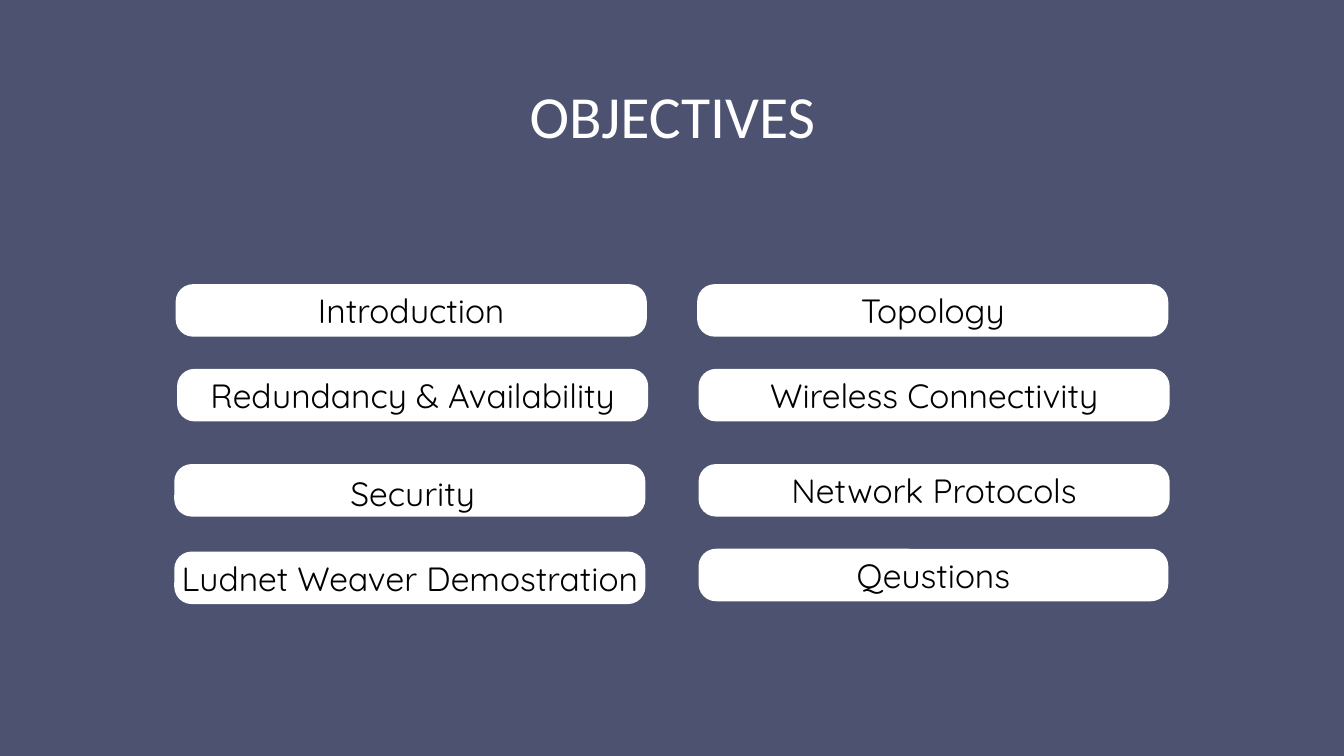
from pptx import Presentation
from pptx.dml.color import RGBColor
from pptx.enum.shapes import MSO_SHAPE
from pptx.enum.text import MSO_ANCHOR, PP_ALIGN
from pptx.util import Pt

PX = 9525
COLORS = {"background": "4C5270", "white": "FFFFFF", "black": "000000"}
BAR_W, BAR_H, TEXT_H = 673, 75, 67
RAISED, LOWERED = (0, -6), (4, -2)

OBJECTIVES = [
    ("Introduction", 251, 406, BAR_W, RAISED),
    ("Topology", 996, 406, BAR_W, RAISED),
    ("Redundancy & Availability", 253, 527, BAR_W, RAISED),
    ("Wireless Connectivity", 998, 527, BAR_W, RAISED),
    ("Security", 249, 663, BAR_W, LOWERED),
    ("Network Protocols", 998, 663, BAR_W, RAISED),
    ("Ludnet Weaver Demostration", 249, 788, BAR_W, RAISED),
    ("Qeustions", 998, 784, 671, RAISED),
]


def px(*values):
    """Turn px lengths into EMU."""
    return [v * PX for v in values]


def rgb(name):
    """Look up a named colour."""
    return RGBColor.from_string(COLORS[name])


def write(sp, text, font, size, spacing, color):
    """Fill a shape with one centred line, without margins."""
    tf = sp.text_frame
    tf.word_wrap = True
    tf.vertical_anchor = MSO_ANCHOR.TOP
    tf.margin_left = tf.margin_top = tf.margin_right = tf.margin_bottom = 0
    p = tf.paragraphs[0]
    p.text = text
    p.alignment = PP_ALIGN.CENTER
    p.line_spacing = Pt(spacing)
    p.font.name = font
    p.font.size = Pt(size)
    p.font.color.rgb = rgb(color)


def add_title(s, text):
    """Place and format the title placeholder."""
    sp = s.shapes.title
    sp.left, sp.top, sp.width, sp.height = px(148, 96, 1625, 114)
    write(sp, text, "Calibri", 64, 89.6, "white")


def add_objective(s, label, x, y, w, shift):
    """Draw a rounded bar with its label."""
    bar = s.shapes.add_shape(MSO_SHAPE.ROUNDED_RECTANGLE, *px(x, y, w, BAR_H))
    bar.adjustments[0] = 0.33
    bar.shadow.inherit = False
    bar.fill.solid()
    bar.fill.fore_color.rgb = rgb("white")
    bar.line.fill.background()
    dx, dy = shift
    box = s.shapes.add_textbox(*px(x + dx, y + dy, w, TEXT_H))
    write(box, label, "Quicksand", 36, 54, "black")


def main():
    """Build the objectives slide."""
    prs = Presentation()
    prs.slide_width, prs.slide_height = px(1920, 1080)
    s = prs.slides.add_slide(prs.slide_layouts[5])
    s.background.fill.solid()
    s.background.fill.fore_color.rgb = rgb("background")
    add_title(s, "OBJECTIVES")
    for objective in OBJECTIVES:
        add_objective(s, *objective)
    prs.save("out.pptx")


if __name__ == "__main__":
    main()
